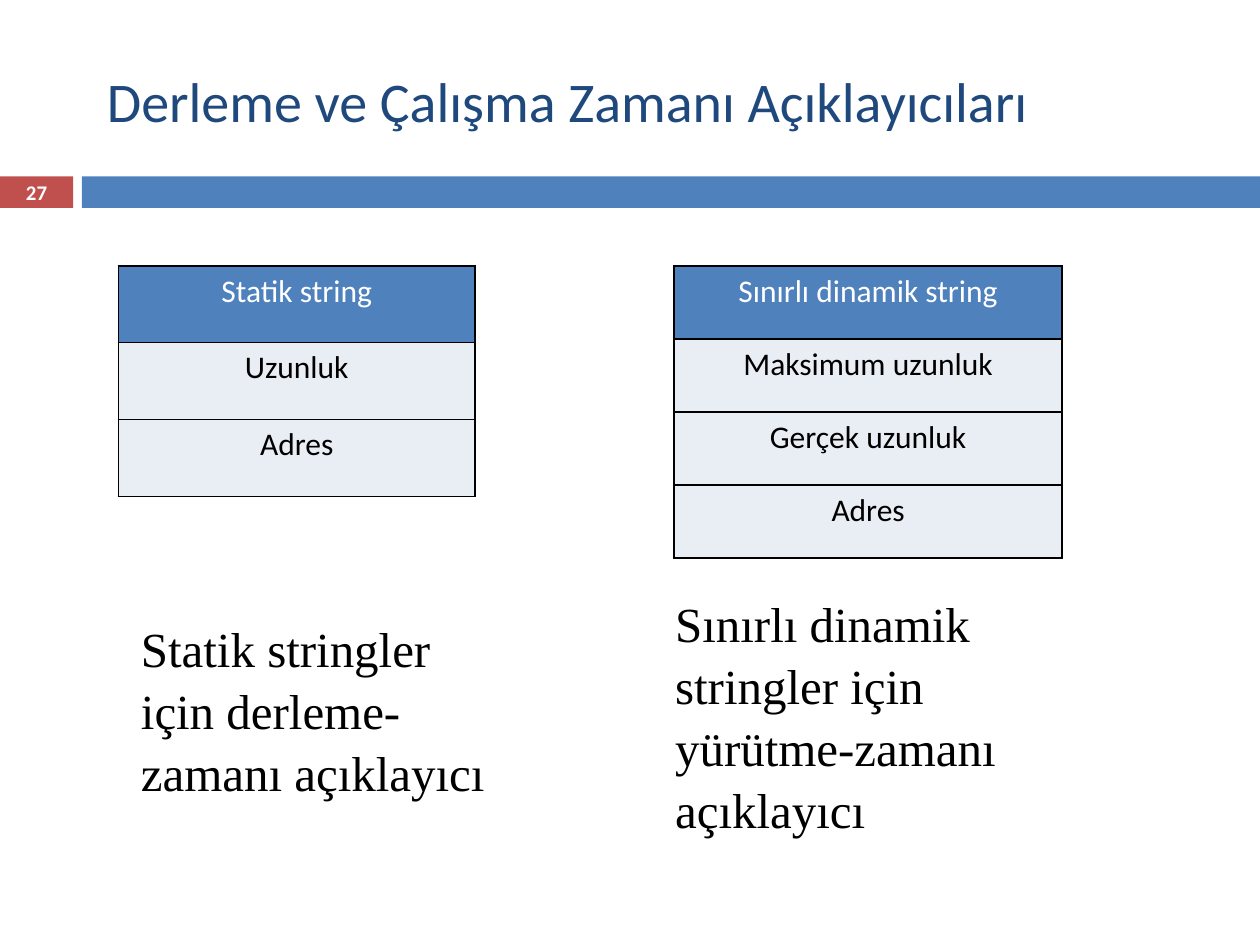
from lxml import etree
from pptx import Presentation
from pptx.dml.color import RGBColor
from pptx.enum import shapes, text
from pptx.oxml import ns
from pptx.util import Inches, Pt

WHITE = RGBColor(0xFF, 0xFF, 0xFF)
BLACK = RGBColor(0x00, 0x00, 0x00)
NAVY = RGBColor(0x1F, 0x49, 0x7D)
BLUE = RGBColor(0x4F, 0x81, 0xBD)
RED = RGBColor(0xC0, 0x50, 0x4D)
PALE_BLUE = RGBColor(0xE9, 0xED, 0xF4)


def add_text(left, top, width, height, content, font, size, color, anchor):
    box = slide.shapes.add_textbox(Inches(left), Inches(top), Inches(width), Inches(height))
    frame = box.text_frame
    frame.word_wrap = True
    frame.vertical_anchor = anchor
    frame.text = content
    paragraph = frame.paragraphs[0]
    paragraph.font.name = font
    paragraph.font.size = Pt(size)
    paragraph.font.color.rgb = color
    return paragraph


def add_borders(cell):
    properties = cell._tc.get_or_add_tcPr()
    for index, side in enumerate(("lnL", "lnR", "lnT", "lnB")):
        line = etree.Element(ns.qn(f"a:{side}"), w=str(Pt(1)))
        fill = etree.SubElement(line, ns.qn("a:solidFill"))
        etree.SubElement(fill, ns.qn("a:srgbClr"), val=str(BLACK))
        properties.insert(index, line)


presentation = Presentation()
presentation.slide_width = Inches(10)
presentation.slide_height = Inches(7.5)
slide = presentation.slides.add_slide(presentation.slide_layouts[6])

# Title and the band below it
for left, width, color in ((0, 0.58, RED), (0.65, 9.35, BLUE)):
    bar = slide.shapes.add_shape(
        shapes.MSO_SHAPE.RECTANGLE, Inches(left), Inches(1.4), Inches(width), Inches(0.25))
    bar.shadow.inherit = False
    bar.fill.solid()
    bar.fill.fore_color.rgb = color
    bar.line.fill.background()

add_text(0.75, 0.17, 8.92, 1.25, "Derleme ve Çalışma Zamanı Açıklayıcıları",
         "Calibri", 32, NAVY, text.MSO_ANCHOR.MIDDLE)
number = add_text(0, 1.39, 0.58, 0.27, "27", "Calibri", 11.9, WHITE, text.MSO_ANCHOR.MIDDLE)
number.font.bold = True
number.alignment = text.PP_ALIGN.CENTER

# Descriptor tables: left, width, row height, rows
descriptors = (
    (0.94, 2.83, 0.61, ("Statik string", "Uzunluk", "Adres")),
    (5.35, 3.08, 0.58, ("Sınırlı dinamik string", "Maksimum uzunluk", "Gerçek uzunluk", "Adres")),
)
for left, width, row_height, labels in descriptors:
    table = slide.shapes.add_table(
        len(labels), 1, Inches(left), Inches(2.11), Inches(width),
        Inches(row_height) * len(labels)).table
    for row, label in enumerate(labels):
        cell = table.cell(row, 0)
        cell.text = label
        cell.fill.solid()
        cell.fill.fore_color.rgb = PALE_BLUE if row else BLUE
        add_borders(cell)
        paragraph = cell.text_frame.paragraphs[0]
        paragraph.alignment = text.PP_ALIGN.CENTER
        paragraph.font.name = "Calibri"
        paragraph.font.size = Pt(18)
        paragraph.font.bold = False
        paragraph.font.color.rgb = BLACK if row else WHITE

# Captions
captions = (
    (1.02, 4.84, 3.08, 1.5, "Statik stringler için derleme-zamanı açıklayıcı"),
    (5.26, 4.64, 3.42, 1.99, "Sınırlı dinamik stringler için yürütme-zamanı açıklayıcı"),
)
for left, top, width, height, caption in captions:
    paragraph = add_text(left, top, width, height, caption,
                         "Times New Roman", 28, BLACK, text.MSO_ANCHOR.TOP)
    paragraph.line_spacing = 1.05

presentation.save("out.pptx")
